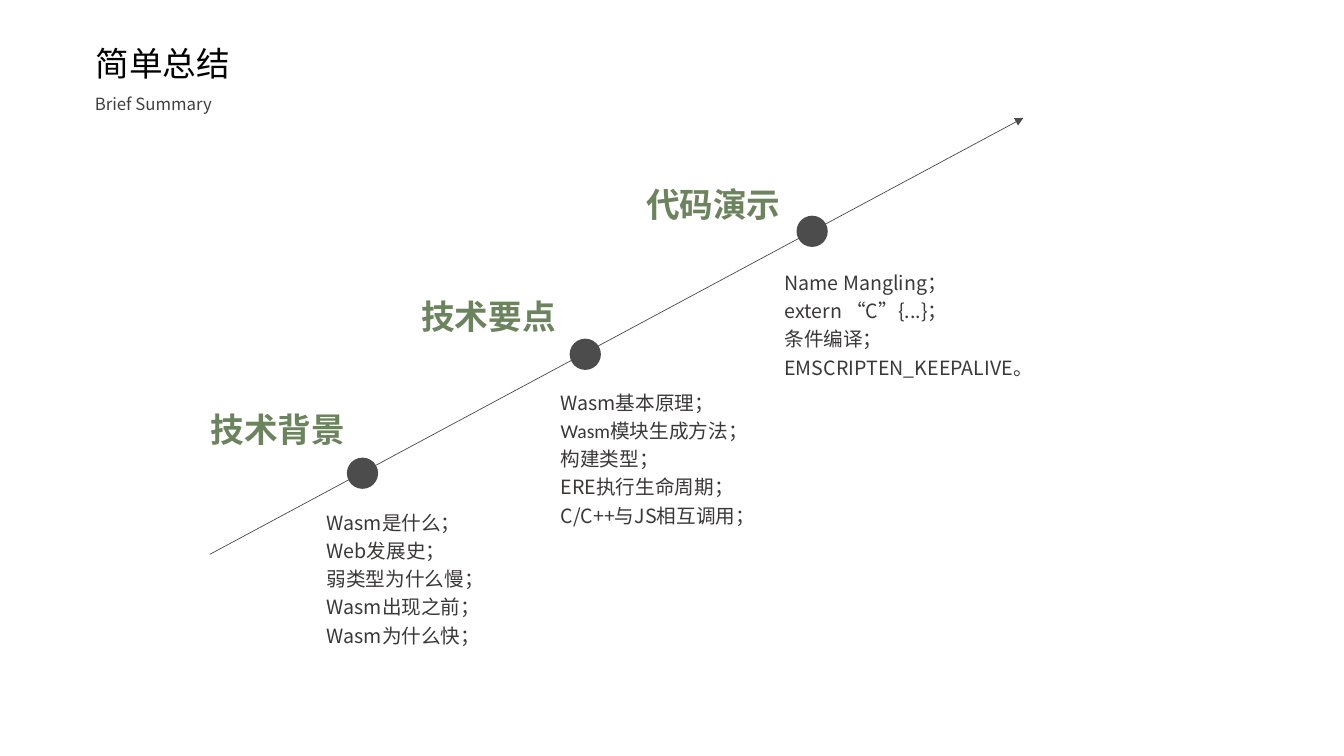
from lxml.etree import SubElement as Sub
from pptx import Presentation
from pptx.dml.color import RGBColor
from pptx.enum.shapes import MSO_CONNECTOR as Link, MSO_SHAPE as Shape
from pptx.enum.text import MSO_ANCHOR as Anchor, MSO_AUTO_SIZE as Fit, PP_ALIGN as Align
from pptx.oxml.ns import qn
from pptx.util import Pt

PX = 9144
FONT = "Noto Sans CJK SC"
GREY = "4C4C4C"
DOT = 31

STEPS = [
    ((344, 454), "技术背景", (199, 401, 157, 50), (314, 497, 449, 151),
     ["Wasm是什么；", "Web发展史；", "弱类型为什么慢；", "Wasm出现之前；", "Wasm为什么快；"]),
    ((565, 336), "技术要点", (408, 289, 154, 50), (546, 378, 422, 151),
     ["Wasm基本原理；", ("Wasm", "模块生成方法；"), "构建类型；", "ERE执行生命周期；",
      "C/C++与JS相互调用；"]),
    ((790, 214), "代码演示", (631, 178, 156, 50), (768, 259, 367, 151),
     ["Name Mangling；", "extern “C”{...}；", "条件编译；", "EMSCRIPTEN_KEEPALIVE。"]),
]


def px(*nums):
    return [n * PX for n in nums]


def color(code):
    return RGBColor.from_string(code)


def style(para, size, code, bold, gap):
    para.alignment = Align.LEFT
    para.line_spacing = gap
    para.space_before = para.space_after = Pt(0)
    font = para.font
    font.name, font.size, font.bold = FONT, Pt(size), bold
    font.color.rgb = color(code)
    props = para._p.pPr
    props.set("marL", "0")
    props.set("indent", "0")
    base = props.find(qn("a:defRPr"))
    base.find(qn("a:latin")).addnext(Sub(base, qn("a:ea"), typeface=FONT))
    none = Sub(props, qn("a:buNone"))
    base.addprevious(none)


def write(shape, box, lines, size, code, bold=False, gap=1.0):
    shape.left, shape.top, shape.width, shape.height = px(*box)
    frame = shape.text_frame
    frame.word_wrap = True
    frame.auto_size = Fit.NONE
    frame.vertical_anchor = Anchor.TOP
    frame.margin_left, frame.margin_top, frame.margin_right, frame.margin_bottom = px(10, 5, 10, 5)
    for i, line in enumerate(lines):
        para = frame.paragraphs[0] if i == 0 else frame.add_paragraph()
        if isinstance(line, tuple):
            for part in line:
                para.add_run().text = part
            para.runs[0].font.name = "Calibri"
        else:
            para.add_run().text = line
        style(para, size, code, bold, gap)


def header(slide, box):
    x, y, w, h = box
    write(slide.shapes.title, (x + 1, y, 318, 50), ["简单总结"], 24, "000000")
    write(slide.placeholders[1], (x, y + 44, w, h - 44), ["Brief Summary"], 12, "404040", gap=1.3)


def arrow(slide, box):
    x, y, w, h = box
    line = slide.shapes.add_connector(Link.STRAIGHT, *px(x, y + h, x + w, y))
    line.line.color.rgb = color(GREY)
    line.line.width = Pt(0.5)
    Sub(line.line._get_or_add_ln(), qn("a:tailEnd"), type="triangle")
    Sub(line._element.spPr, qn("a:effectLst"))


def step(slide, hold, spot, name, head, box, lines):
    dot = slide.shapes.add_shape(Shape.OVAL, *px(*spot, DOT, DOT))
    dot.shadow.inherit = False
    dot.fill.solid()
    dot.fill.fore_color.rgb = color(GREY)
    dot.line.fill.background()
    label = slide.shapes.add_textbox(*px(*head))
    write(label, head, [name], 24, "6C845E", bold=True)
    write(hold, box, lines, 14, "3B3838", gap=1.2)


def main():
    deck = Presentation()
    deck.slide_width, deck.slide_height = px(1333, 750)
    slide = deck.slides.add_slide(deck.slide_layouts[4])
    header(slide, (84, 38, 430, 78))
    arrow(slide, (208, 117, 807, 433))
    for i, item in enumerate(STEPS, 2):
        step(slide, slide.placeholders[i], *item)
    deck.save("out.pptx")


if __name__ == "__main__":
    main()
